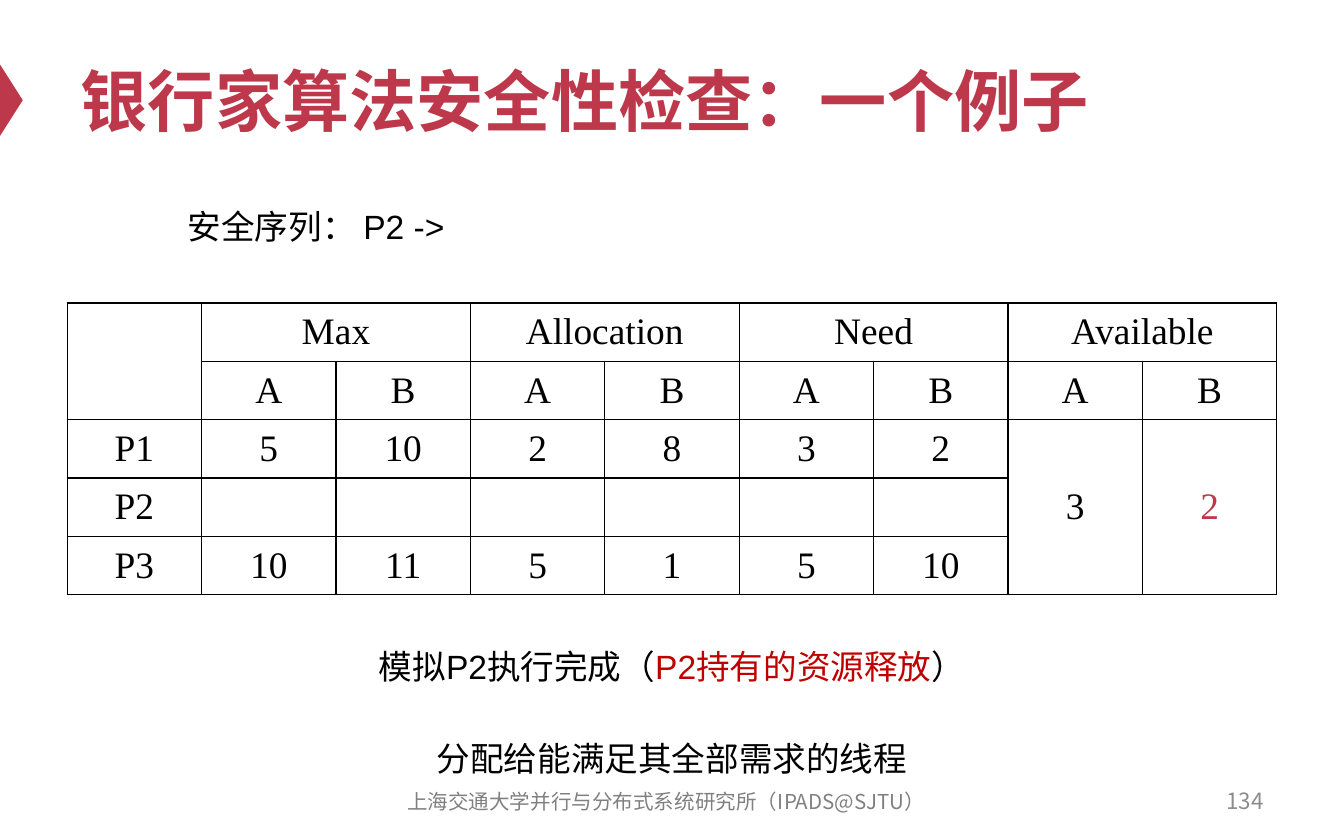
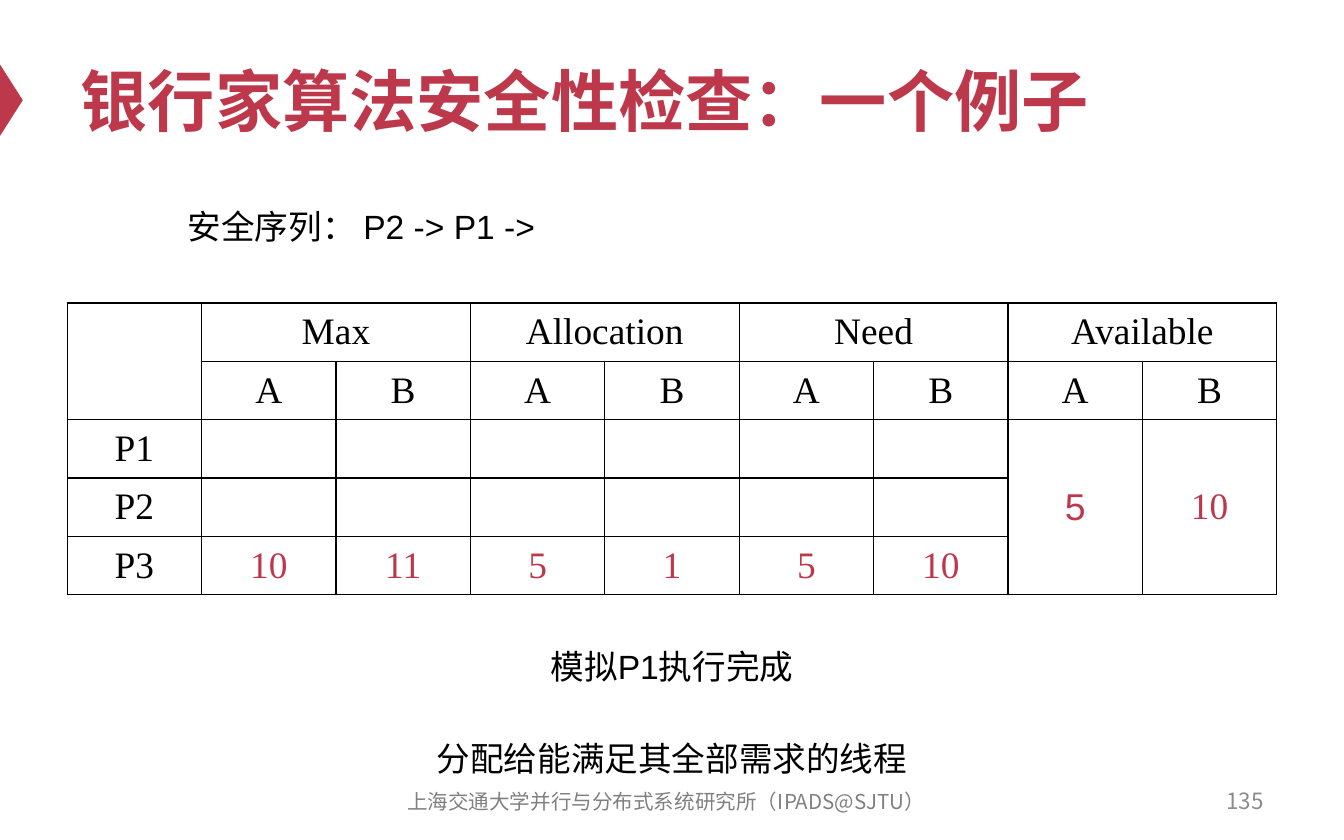
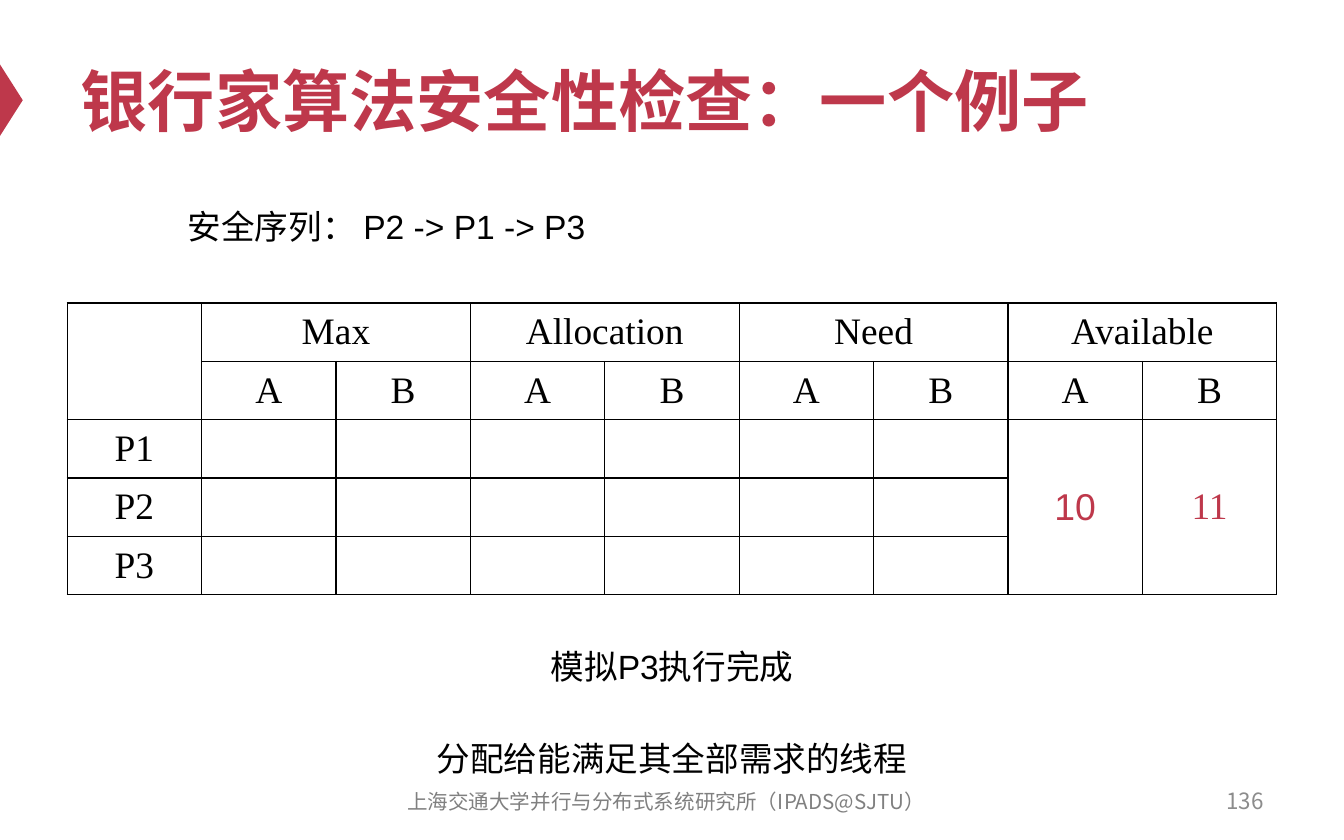
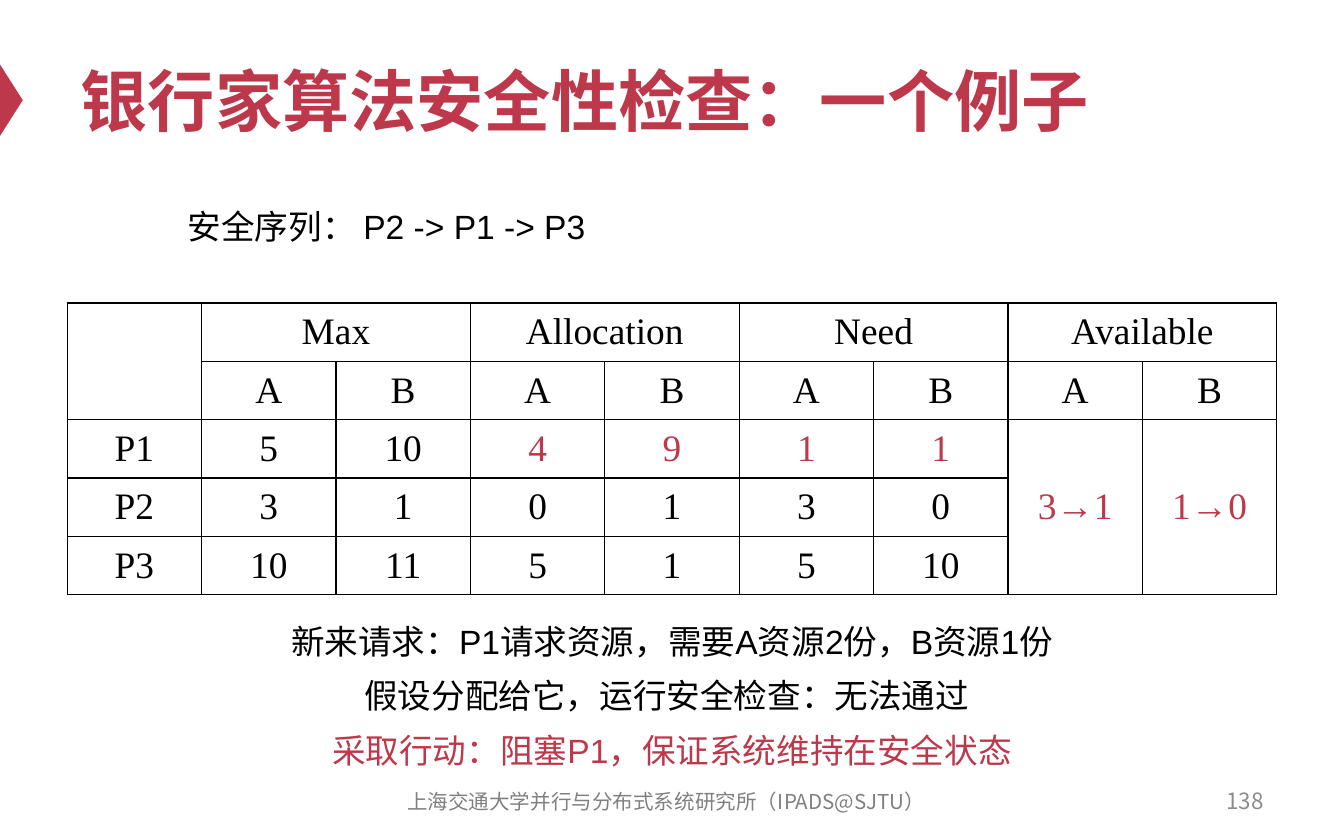
from lxml import etree
from pptx import Presentation
from pptx import util as u
from pptx.dml.color import RGBColor
from pptx.enum import shapes, text
from pptx.oxml import ns

RED, DARK, BLACK = "BE384B", "C00000", "000000"
SANS, SERIF, CJK = "Arial", "Times New Roman", "Noto Sans CJK SC"
LEFT, MID, RIGHT = text.PP_ALIGN.LEFT, text.PP_ALIGN.CENTER, text.PP_ALIGN.RIGHT

TITLE = "银行家算法安全性检查：一个例子"
FOOT = "上海交通大学并行与分布式系统研究所（IPADS@SJTU）"
GIVE = "分配给能满足其全部需求的线程"
HEADS = ["Max", "Allocation", "Need", "Available"]
BARE = [""] * 6
ROW_C = ["10", "11", "5", "1", "5", "10"]


def color(code):
    return RGBColor.from_string(code)


def red(word, **fmt):
    return word, {"ink": RED, **fmt}


def write(frame, runs, size=18, font=SANS, ink=BLACK, bold=False,
          align=LEFT, space=None, anchor=None):
    if anchor is not None:
        frame.vertical_anchor = anchor
    para = frame.paragraphs[0]
    para.alignment = align
    if space:
        para.line_spacing = space
    for part in runs if isinstance(runs, list) else [runs]:
        word, own = part if isinstance(part, tuple) else (part, {})
        if not word:
            para._p.get_or_add_endParaRPr().set("sz", "1200")
            continue
        run = para.add_run()
        run.text = word
        face = run.font
        face.size, face.bold = u.Pt(size), bold
        face.name = own.get("font", font)
        face.color.rgb = color(own.get("ink", ink))
        east = etree.SubElement(face._element, ns.qn("a:ea"))
        east.set("typeface", CJK)


class Deck:
    def __init__(self):
        self.show = Presentation()
        self.show.slide_width = u.Cm(25.4)
        self.show.slide_height = u.Cm(15.88)
        self.slide = None

    def page(self, num):
        self.slide = self.show.slides.add_slide(self.show.slide_layouts[5])
        self.mark()
        head = self.slide.shapes.title
        head.left, head.top = u.Cm(1.27), u.Cm(0.64)
        head.width, head.height = u.Cm(22.86), u.Cm(2.49)
        write(head.text_frame, TITLE, size=36, ink=RED, bold=True,
              anchor=text.MSO_ANCHOR.MIDDLE)
        self.label(FOOT, 7.09, 14.73, 11, 0.84, size=11, font=CJK,
                   ink="808080", align=MID, anchor=text.MSO_ANCHOR.MIDDLE)
        self.label(str(num), 18.21, 14.71, 5.92, 0.84, size=12, font=CJK,
                   ink="8C8C8C", align=RIGHT, anchor=text.MSO_ANCHOR.MIDDLE)

    def mark(self):
        tip = self.slide.shapes.add_shape(
            shapes.MSO_SHAPE.ISOSCELES_TRIANGLE,
            u.Cm(-0.46), u.Cm(1.68), u.Cm(1.35), u.Cm(0.43))
        tip.rotation = 90
        tip.shadow.inherit = False
        tip.fill.solid()
        tip.fill.fore_color.rgb = color(RED)
        tip.line.fill.background()

    def label(self, runs, x, y, w, h, **fmt):
        box = self.slide.shapes.add_textbox(u.Cm(x), u.Cm(y), u.Cm(w), u.Cm(h))
        box.text_frame.word_wrap = True
        write(box.text_frame, runs, **fmt)
        return box

    def line(self, runs, y, x=3, align=MID, ink=BLACK):
        box = self.label(runs, x, y, 19.4, 1.27, align=align, ink=ink, space=1.5)
        box.text_frame.auto_size = text.MSO_AUTO_SIZE.SHAPE_TO_FIT_TEXT

    def edge(self, cell):
        props = cell._tc.get_or_add_tcPr()
        for place, side in enumerate(("lnL", "lnR", "lnT", "lnB")):
            rule = etree.Element(ns.qn("a:" + side), w=str(u.Pt(0.75)))
            fill = etree.SubElement(rule, ns.qn("a:solidFill"))
            etree.SubElement(fill, ns.qn("a:srgbClr"), val=BLACK)
            props.insert(place, rule)

    def grid(self, rows, free):
        table = self.slide.shapes.add_table(
            5, 9, u.Cm(1.27), u.Cm(5.73), u.Cm(22.86), u.Cm(5.2)).table
        table.first_row = table.horz_banding = False
        top = [""] + [word for head in HEADS for word in (head, "")]
        body = [[f"P{i}"] + row + (free if i == 1 else ["", ""])
                for i, row in enumerate(rows, 1)]
        for r, row in enumerate([top, [""] + ["A", "B"] * 4] + body):
            for c, word in enumerate(row):
                cell = table.cell(r, c)
                cell.fill.background()
                self.edge(cell)
                cell.vertical_anchor = text.MSO_ANCHOR.MIDDLE
                write(cell.text_frame, word, size=20, font=SERIF, align=MID)
        table.cell(0, 0).merge(table.cell(1, 0))
        for c in range(1, 9, 2):
            table.cell(0, c).merge(table.cell(0, c + 1))
        for c in (7, 8):
            table.cell(2, c).merge(table.cell(4, c))

    def step(self, num, order, rows, free):
        self.page(num)
        self.grid(rows, free)
        self.line("安全序列： " + order, 3.38, x=3.3, align=LEFT)

    def done(self, runs):
        self.line(runs, 11.71)
        self.line(GIVE, 13.44)


def main():
    deck = Deck()
    deck.step(134, "P2 ->", [["5", "10", "2", "8", "3", "2"], BARE, ROW_C],
              ["3", red("2")])
    deck.done(["模拟P2执行完成（", ("P2持有的资源释放", {"ink": DARK}), "）"])

    deck.step(135, "P2 -> P1 ->", [BARE, BARE, [red(n) for n in ROW_C]],
              [red("5", font=SANS), red("10")])
    deck.done("模拟P1执行完成")

    deck.step(136, "P2 -> P1 -> P3", [BARE] * 3,
              [red("10", font=SANS), red("11")])
    deck.done("模拟P3执行完成")

    deck.step(138, "P2 -> P1 -> P3",
              [["5", "10"] + [red(n) for n in "4911"], list("310130"), ROW_C],
              [red("3→1"), red("1→0")])
    deck.line("新来请求：P1请求资源，需要A资源2份，B资源1份", 11.23)
    deck.line("假设分配给它，运行安全检查：无法通过", 12.26, x=2.9)
    deck.line("采取行动：阻塞P1，保证系统维持在安全状态", 13.29, ink=RED)
    deck.show.save("out.pptx")


if __name__ == "__main__":
    main()
